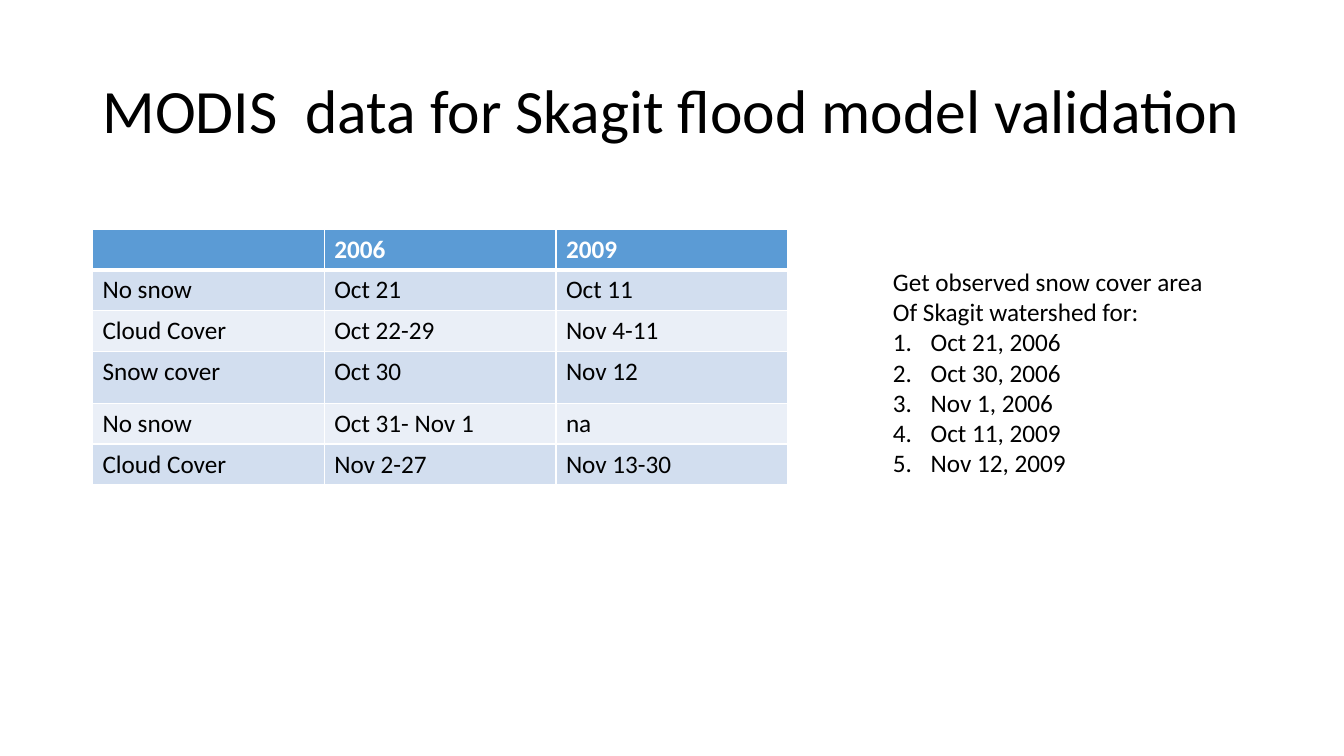
from dataclasses import dataclass

from lxml import etree
from pptx import Presentation
from pptx.dml.color import RGBColor
from pptx.enum.text import MSO_ANCHOR, MSO_AUTO_SIZE, PP_ALIGN
from pptx.oxml.ns import qn
from pptx.util import Cm, Pt

LEFT = PP_ALIGN.LEFT
TOP = MSO_ANCHOR.TOP
MIDDLE = MSO_ANCHOR.MIDDLE
NO_AUTOFIT = MSO_AUTO_SIZE.NONE

BLACK = RGBColor(0x00, 0x00, 0x00)
WHITE = RGBColor(0xFF, 0xFF, 0xFF)
HEADER_BLUE = RGBColor(0x5B, 0x9B, 0xD5)
BAND_DARK = RGBColor(0xD2, 0xDE, 0xEF)
BAND_LIGHT = RGBColor(0xEA, 0xEF, 0xF7)
FONT_NAME = "Calibri"
BODY_SIZE = 18
TITLE_SIZE = 44
COLUMN_WIDTH = 5.84
LIST_INDENT = 0.95


@dataclass(frozen=True)
class Box:
    left: float
    top: float
    width: float
    height: float


@dataclass(frozen=True)
class TableRow:
    cells: tuple[str, str, str]
    height: float = 1.03


@dataclass(frozen=True)
class ListLine:
    text: str
    numbered: bool = True


TITLE_BOX = Box(2.33, 1.01, 29.21, 3.68)
TABLE_BOX = Box(2.33, 5.77, 3 * COLUMN_WIDTH, 6.45)
LIST_BOX = Box(22.25, 6.58, 8.56, 5.64)

TABLE_ROWS = (
    TableRow(("", "2006", "2009")),
    TableRow(("No snow", "Oct 21", "Oct 11")),
    TableRow(("Cloud Cover", "Oct 22-29", "Nov 4-11")),
    TableRow(("Snow cover", "Oct 30", "Nov 12"), 1.3),
    TableRow(("No snow", "Oct 31- Nov 1", "na")),
    TableRow(("Cloud Cover", "Nov 2-27", "Nov 13-30")),
)

LIST_LINES = (
    ListLine("Get observed snow cover area", False),
    ListLine("Of Skagit watershed for:", False),
    ListLine("Oct 21, 2006"),
    ListLine("Oct 30, 2006"),
    ListLine("Nov 1, 2006"),
    ListLine("Oct 11, 2009"),
    ListLine("Nov 12, 2009"),
)


def add_run(paragraph, text: str, size: int, color: RGBColor, bold: bool = False) -> None:
    run = paragraph.add_run()
    run.text = text
    run.font.name = FONT_NAME
    run.font.size = Pt(size)
    run.font.bold = bold
    run.font.color.rgb = color


def place(shape, box: Box, anchor: MSO_ANCHOR) -> None:
    shape.left, shape.top = Cm(box.left), Cm(box.top)
    shape.width, shape.height = Cm(box.width), Cm(box.height)
    frame = shape.text_frame
    frame.word_wrap = True
    frame.auto_size = NO_AUTOFIT
    frame.vertical_anchor = anchor


def fill_title(shape) -> None:
    place(shape, TITLE_BOX, MIDDLE)
    paragraph = shape.text_frame.paragraphs[0]
    paragraph.alignment = LEFT
    paragraph.line_spacing = 0.9
    add_run(paragraph, "MODIS  data for Skagit flood model validation", TITLE_SIZE, BLACK)


def fill_list(shape) -> None:
    place(shape, LIST_BOX, TOP)
    frame = shape.text_frame
    for index, line in enumerate(LIST_LINES):
        paragraph = frame.add_paragraph() if index else frame.paragraphs[0]
        paragraph.alignment = LEFT
        paragraph.space_before = Pt(0)
        properties = paragraph._p.get_or_add_pPr()
        indent = Cm(LIST_INDENT) if line.numbered else 0
        properties.set("marL", str(indent))
        properties.set("indent", str(-indent))
        if line.numbered:
            etree.SubElement(properties, qn("a:buFont"), typeface="+mj-lt")
            etree.SubElement(properties, qn("a:buAutoNum"), type="arabicPeriod")
        else:
            etree.SubElement(properties, qn("a:buNone"))
        add_run(paragraph, line.text, BODY_SIZE, BLACK)


def set_borders(cell, top: int, bottom: int) -> None:
    properties = cell._tc.get_or_add_tcPr()
    for side, width in (("L", 1), ("R", 1), ("T", top), ("B", bottom)):
        border = etree.SubElement(properties, qn(f"a:ln{side}"), w=str(Pt(width)))
        fill = etree.SubElement(border, qn("a:solidFill"))
        etree.SubElement(fill, qn("a:srgbClr"), val=str(WHITE))


def add_snow_table(slide) -> None:
    frame = slide.shapes.add_table(
        len(TABLE_ROWS), len(TABLE_ROWS[0].cells),
        Cm(TABLE_BOX.left), Cm(TABLE_BOX.top), Cm(TABLE_BOX.width), Cm(TABLE_BOX.height),
    )
    table = frame.table
    for column in table.columns:
        column.width = Cm(COLUMN_WIDTH)
    for row_index, row in enumerate(TABLE_ROWS):
        table.rows[row_index].height = Cm(row.height)
        is_header = row_index == 0
        band = BAND_DARK if row_index % 2 else BAND_LIGHT
        for column_index, text in enumerate(row.cells):
            cell = table.cell(row_index, column_index)
            set_borders(cell, 3 if row_index == 1 else 1, 3 if is_header else 1)
            cell.fill.solid()
            cell.fill.fore_color.rgb = HEADER_BLUE if is_header else band
            if text:
                color = WHITE if is_header else BLACK
                add_run(cell.text_frame.paragraphs[0], text, BODY_SIZE, color, is_header)


def main() -> None:
    presentation = Presentation()
    presentation.slide_width = Cm(33.87)
    presentation.slide_height = Cm(19.05)
    slide = presentation.slides.add_slide(presentation.slide_layouts[1])
    fill_title(slide.shapes.title)
    add_snow_table(slide)
    fill_list(slide.placeholders[1])
    presentation.save("out.pptx")


if __name__ == "__main__":
    main()
